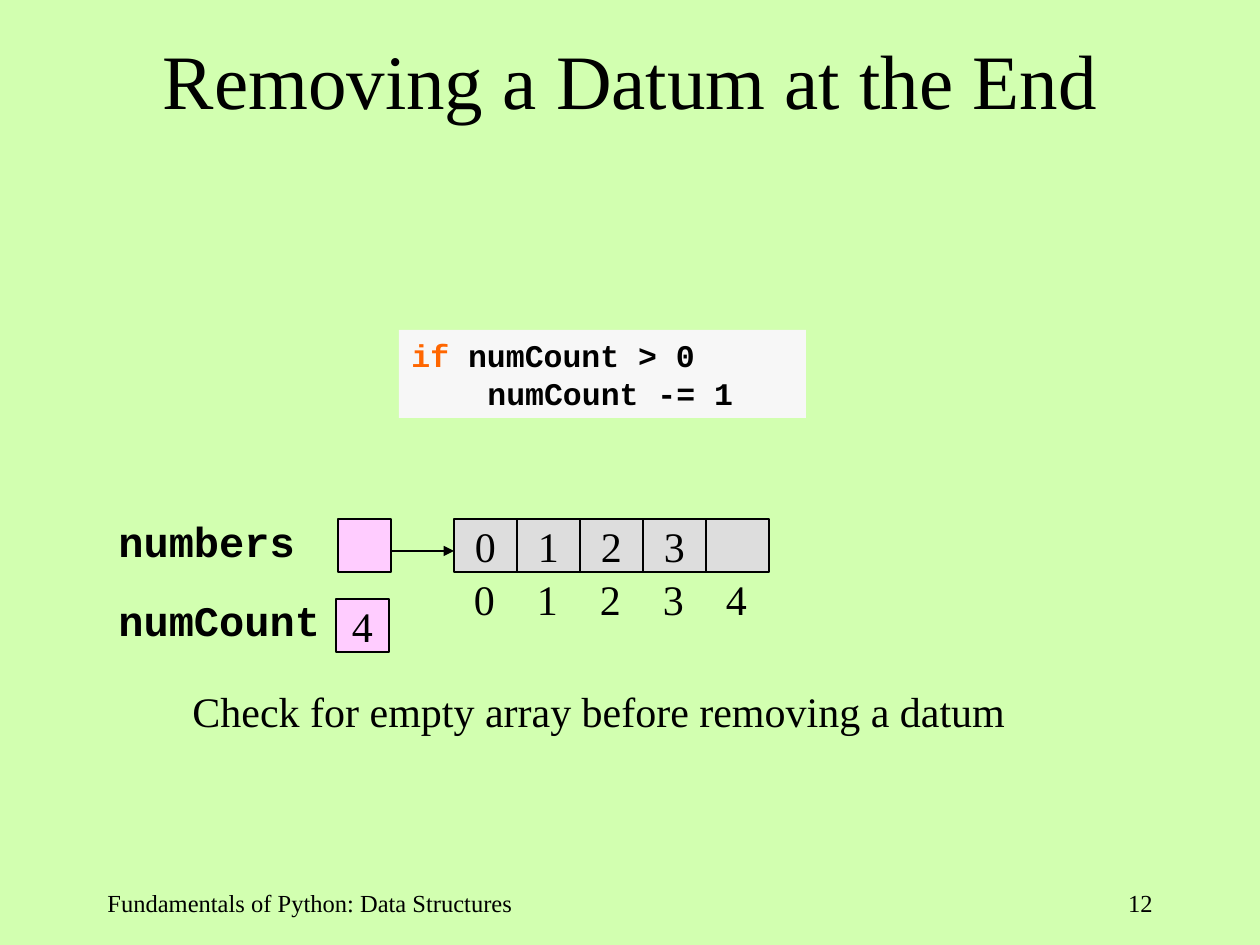
from lxml.etree import SubElement as Sub
from pptx import Presentation
from pptx.dml.color import RGBColor
from pptx.enum.shapes import MSO_CONNECTOR as Conn, MSO_SHAPE as Kind
from pptx.enum.text import MSO_ANCHOR as Anchor, PP_ALIGN as Align
from pptx.oxml.ns import qn
from pptx.util import Pt

# Content
SERIF, MONO = "Times New Roman", "Courier New"
BLACK, PINK, GRAY = "000000", "FFCCFF", "DDDDDD"
BODY = {"name": SERIF, "size": Pt(24)}
BOLD = {"name": MONO, "size": Pt(24), "bold": True}
CODE = {"name": MONO, "size": Pt(18), "bold": True}
HEAD = {"name": SERIF, "size": Pt(44)}
FOOT = {"name": SERIF, "size": Pt(14)}
MID = {"align": Align.CENTER, "anchor": Anchor.MIDDLE}

cells = ["0", "1", "2", "3", ""]
lines = [  # indent in px, then runs
    (0, [("if", "FF6600"), (" numCount > 0", BLACK)]),
    (76, [("numCount -= 1", BLACK)]),
]
texts = [  # place in px, wording, font, layout
    ((95, 0, 1071, 158), "Removing a Datum at the End", HEAD, {**MID, "wrap": True}),
    ((106, 509, 202, 63), "numbers", BOLD, {}),
    ((106, 588, 227, 63), "numCount", BOLD, {}),
    ((180, 679, 838, 63), "Check for empty array before removing a datum", BODY, {}),
    ((95, 882, 483, 63), "Fundamentals of Python: Data Structures", FOOT, {"wrap": True}),
    ((903, 882, 262, 63), "12", FOOT, {"align": Align.RIGHT, "wrap": True}),
]

# Grid in px
LEFT, TOP, WIDE, SIDE = 454, 519, 63, 53
INSET = 13


def px(n):
    return round(n * 914400 / 126)


def tint(fill, color):
    fill.solid()
    fill.fore_color.rgb = RGBColor.from_string(color)


def add_run(para, text, font, color=BLACK):
    run = para.add_run()
    run.text = text
    for key, value in font.items():
        setattr(run.font, key, value)
    tint(run.font.fill, color)


def set_text(shape, text, font, align=Align.LEFT, anchor=Anchor.TOP, wrap=False):
    frame = shape.text_frame
    frame.word_wrap, frame.vertical_anchor = wrap, anchor
    para = frame.paragraphs[0]
    para.alignment = align
    add_run(para, text, font)
    return para


def add_text(place, text, font, form):
    box = slide.shapes.add_textbox(*map(px, place))
    return set_text(box, text, font, **form)


def add_box(place, color, text="", edge=True):
    box = slide.shapes.add_shape(Kind.RECTANGLE, *map(px, place))
    box.shadow.inherit = False
    tint(box.fill, color)
    if edge:
        tint(box.line.fill, BLACK)
        box.line.width = Pt(0.75)
    else:
        box.line.fill.background()
    if text:
        set_text(box, text, BODY, **MID)
    return box


deck = Presentation()
deck.slide_width, deck.slide_height = px(1260), px(945)
slide = deck.slides.add_slide(deck.slide_layouts[6])
tint(slide.background.fill, "D2FFB0")

# Title, labels, note and footer
for item in texts:
    add_text(*item)

# Code block
frame = add_box((399, 330, 407, 88), "F7F7F7", edge=False).text_frame
frame.word_wrap, frame.vertical_anchor = True, Anchor.TOP
for i, (indent, runs) in enumerate(lines):
    para = frame.add_paragraph() if i else frame.paragraphs[0]
    para.alignment = Align.LEFT
    para._p.get_or_add_pPr().set("marL", str(px(indent)))
    for text, color in runs:
        add_run(para, text, CODE, color)

# Variables and array cells
add_box((338, TOP, SIDE, SIDE), PINK)
add_box((336, 599, SIDE, SIDE), PINK, "4")
for i, text in enumerate(cells):
    add_box((LEFT + i * WIDE, TOP, WIDE, SIDE), GRAY, text)

# Index row, one centred tab stop under each cell
start = LEFT - INSET
marks = "".join(f"\t{i}" for i in range(len(cells)))
para = add_text((start, 567, len(cells) * WIDE + 2 * INSET, 63), marks, BODY, {"wrap": True})
stops = Sub(para._p.get_or_add_pPr(), qn("a:tabLst"))
for i in range(len(cells)):
    Sub(stops, qn("a:tab"), pos=str(px(WIDE // 2 + i * WIDE)), algn="ctr")

# Arrow from the variable to the array, a little below the middle
arrow = slide.shapes.add_connector(Conn.STRAIGHT, px(391), px(551), px(LEFT), px(551))
tint(arrow.line.fill, BLACK)
arrow.line.width = Pt(0.75)
Sub(arrow.line._get_or_add_ln(), qn("a:tailEnd"), type="triangle", w="med", len="med")
Sub(arrow._element.spPr, qn("a:effectLst"))

deck.save("out.pptx")
